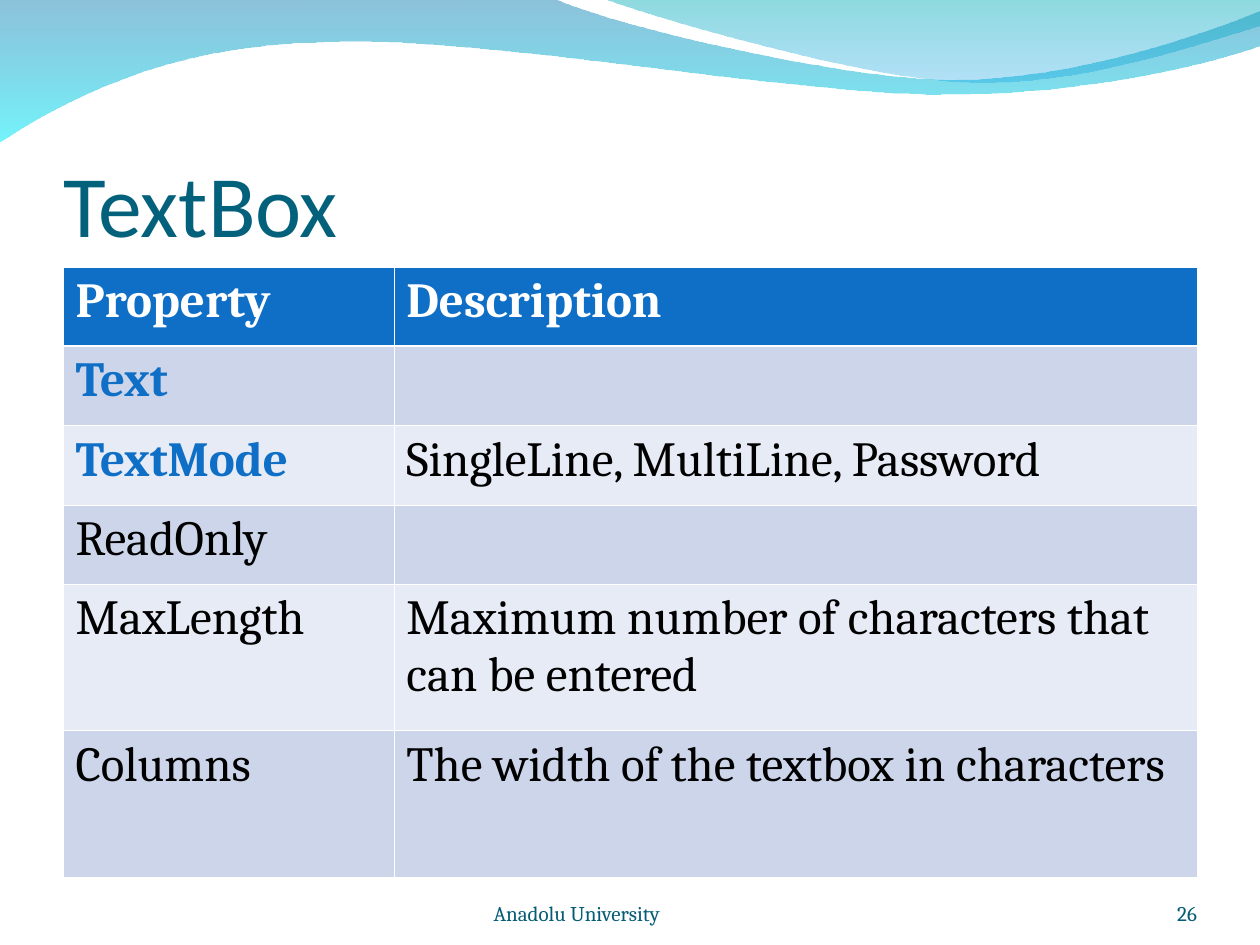
from lxml import etree
from pptx import Presentation
from pptx import util as u
from pptx.dml.color import RGBColor
from pptx.enum import text
from pptx.oxml.ns import qn

WHITE, BLACK, BLUE = "FFFFFF", "000000", "0F6FC6"
BANDS = ("CCD5EA", "E7EBF5")
FOOTER = "045C75"
THIN, THICK = 0.45, 1.47

# Each step is one point (line) or three points (curve), in centimetres
WAVE_START = (0, -0.02)
WAVE = [
    [(11.18, -0.02)],
    [(12.09, 0.43), (16.87, 1.6), (19.25, 1.6)],
    [(21.67, 1.6), (24.33, 0.66), (25.4, 0.23)],
    [(25.43, 0.91)],
    [(24.97, 1.12), (22.1, 1.93), (18.95, 1.9)],
    [(15.8, 1.9), (9.7, 0.71), (6.53, 0.86)],
    [(3.28, 0.89), (1.17, 2.11), (-0.02, 2.87)],
]
CREST_START = (12.17, -0.02)
CREST = [
    [(12.93, 0.28), (17.32, 1.57), (19.53, 1.65)],
    [(21.74, 1.75), (24.41, 0.81), (25.4, 0.53)],
    [(25.4, 0)],
]

# Property, description, emphasised
ROWS = [
    ("Text", "", True),
    ("TextMode", "SingleLine, MultiLine, Password", True),
    ("ReadOnly", "", False),
    ("MaxLength", "Maximum number of characters that can be entered", False),
    ("Columns", "The width of the textbox in characters", False),
]
COL_WIDTHS = (6.67, 16.19)
ROW_HEIGHTS = (1.6, 1.6, 1.6, 1.6, 2.95, 2.95)


def rgb(color):
    return RGBColor.from_string(color)


def add_run(p, words, size, color, font="Cambria", bold=False):
    r = p.add_run()
    r.text = words
    r.font.name, r.font.size, r.font.bold = font, u.Pt(size), bold
    r.font.color.rgb = rgb(color)


def bend(sp, segments):
    """Turn each three-point run of lines in the outline into one curve."""
    lines = iter(list(sp._element.iter(qn("a:lnTo"))))
    for segment in segments:
        steps = [next(lines) for _ in segment]
        if len(steps) == 3:
            curve = etree.Element(qn("a:cubicBezTo"))
            steps[0].addprevious(curve)
            for step in steps:
                curve.append(step[0])
                step.getparent().remove(step)


def add_wave(s, start, segments, stops):
    """Draw a closed outline with a downward gradient of (colour, opacity %)."""
    points = [start] + [point for segment in segments for point in segment]
    emu = [(u.Cm(x), u.Cm(y)) for x, y in points]
    builder = s.shapes.build_freeform(*emu[0], scale=1.0)
    builder.add_line_segments(emu[1:], close=True)
    sp = builder.convert_to_shape()
    bend(sp, segments)
    sp.shadow.inherit = False
    sp.line.fill.background()
    sp.fill.gradient()
    sp.fill.gradient_angle = 270
    for position, stop, (color, _) in zip((0, 1), sp.fill.gradient_stops, stops):
        stop.position = position
        stop.color.rgb = rgb(color)
    clrs = sp.fill._xPr.iter(qn("a:srgbClr"))
    for clr, (_, opacity) in zip(list(clrs), stops):
        etree.SubElement(clr, qn("a:alpha"), val=str(opacity * 1000))


def add_text(s, box, words, size, color, font="Cambria", align=None, tab=None):
    sp = s.shapes.add_textbox(*(u.Cm(v) for v in box))
    tf = sp.text_frame
    tf.word_wrap = True
    tf.vertical_anchor = text.MSO_ANCHOR.BOTTOM
    tf.margin_left = tf.margin_right = tf.margin_top = tf.margin_bottom = 0
    p = tf.paragraphs[0]
    p.alignment = align
    if tab:
        tabs = etree.SubElement(p._p.get_or_add_pPr(), qn("a:tabLst"))
        etree.SubElement(tabs, qn("a:tab"), pos=str(u.Cm(tab)), algn="l")
    add_run(p, words, size, color, font)


def set_borders(cell, top, bottom):
    tc_pr = cell._tc.get_or_add_tcPr()
    for side, width in (("L", THIN), ("R", THIN), ("T", top), ("B", bottom)):
        ln = etree.SubElement(tc_pr, qn(f"a:ln{side}"), w=str(u.Pt(width)))
        fill = etree.SubElement(ln, qn("a:solidFill"))
        etree.SubElement(fill, qn("a:srgbClr"), val=WHITE)


def fill_cell(cell, words, color, bold, background, top=THIN, bottom=THIN):
    set_borders(cell, top, bottom)
    cell.fill.solid()
    cell.fill.fore_color.rgb = rgb(background)
    if words:
        add_run(cell.text_frame.paragraphs[0], words, 28, color, bold=bold)


def add_property_table(s):
    frame = s.shapes.add_table(
        len(ROW_HEIGHTS), len(COL_WIDTHS), u.Cm(1.27), u.Cm(5.38),
        u.Cm(sum(COL_WIDTHS)), u.Cm(sum(ROW_HEIGHTS)))
    table = frame.table
    for column, width in zip(table.columns, COL_WIDTHS):
        column.width = u.Cm(width)
    for row, height in zip(table.rows, ROW_HEIGHTS):
        row.height = u.Cm(height)

    # Header row
    for col, words in enumerate(("Property", "Description")):
        fill_cell(table.cell(0, col), words, WHITE, True, BLUE, bottom=THICK)

    # Banded body rows
    for i, (name, description, strong) in enumerate(ROWS):
        band, top = BANDS[i % 2], THIN if i else THICK
        fill_cell(table.cell(i + 1, 0), name, BLUE if strong else BLACK,
                  strong, band, top)
        fill_cell(table.cell(i + 1, 1), description, BLACK, False, band, top)


def main():
    prs = Presentation()
    prs.slide_width, prs.slide_height = u.Cm(25.4), u.Cm(19.05)
    s = prs.slides.add_slide(prs.slide_layouts[6])

    # Waves along the top
    add_wave(s, WAVE_START, WAVE, [("0079AF", 45), ("00EBF8", 55)])
    add_wave(s, CREST_START, CREST, [("00ADB6", 45), ("009BE5", 30)])

    # Title and table
    add_text(s, (1.28, 1.97, 22.86, 3.18), "TextBox", 50, "04617B", "Calibri")
    add_property_table(s)

    # Slide number and footer
    add_text(s, (22.02, 17.65, 2.11, 1.02), "26", 12, FOOTER,
             align=text.PP_ALIGN.RIGHT)
    add_text(s, (7.41, 17.65, 9.32, 1.02), "\tAnadolu University", 12, FOOTER,
             tab=2.54)

    prs.save("out.pptx")


if __name__ == "__main__":
    main()
